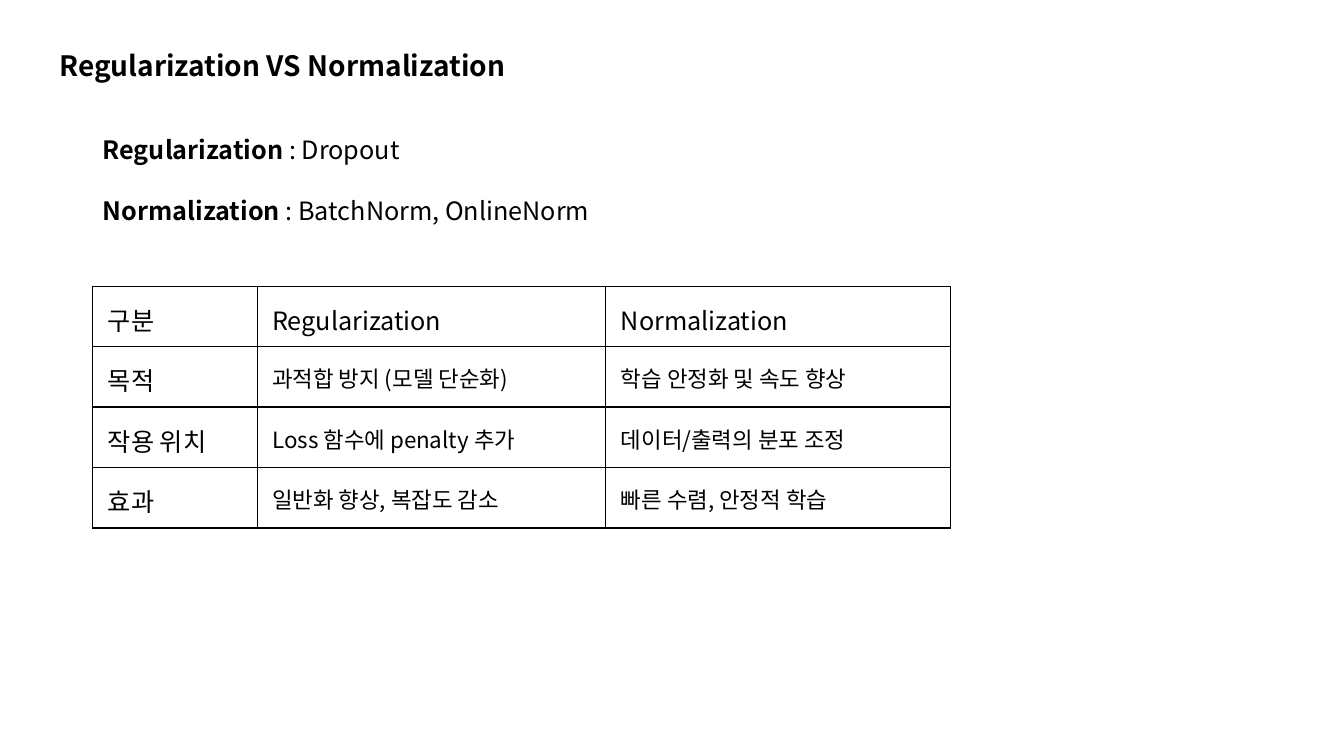
from dataclasses import dataclass

from lxml.etree import SubElement
from pptx import Presentation
from pptx.dml.color import RGBColor
from pptx.enum.text import MSO_ANCHOR, MSO_AUTO_SIZE, PP_ALIGN
from pptx.oxml.ns import qn
from pptx.util import Cm, Pt

TITLE = "Regularization VS Normalization"
EXAMPLES = [
    ("Regularization", " : Dropout", 12.04),
    ("Normalization", " : BatchNorm, OnlineNorm", 13.67),
]
COMPARISON = [
    ("구분", "Regularization", "Normalization"),
    ("목적", "과적합 방지 (모델 단순화)", "학습 안정화 및 속도 향상"),
    ("작용 위치", "Loss 함수에 penalty 추가", "데이터/출력의 분포 조정"),
    ("효과", "일반화 향상, 복잡도 감소", "빠른 수렴, 안정적 학습"),
]
COLUMN_WIDTHS = [4.14, 8.79, 8.68]
ROW_HEIGHT = 1.524
CONTENT_LEFT = 2.34
EXAMPLE_TOP, EXAMPLE_STEP = 3.25, 1.53
TABLE_TOP = 7.21


@dataclass(frozen=True)
class Theme:
    font: str = "Noto Sans CJK KR"
    ink: str = "000000"
    title: int = 20
    body: int = 18
    detail: int = 16
    border: int = 1


THEME = Theme()


def add_text(paragraph, text, size=THEME.body, bold=False):
    run = paragraph.add_run()
    run.text = text
    run.font.size = Pt(size)
    run.font.bold = bold
    run.font.color.rgb = RGBColor.from_string(THEME.ink)
    run.font.name = THEME.font
    SubElement(run.font._element, qn("a:ea"), typeface=THEME.font)


def settle_frame(frame):
    """Wrap the text and rest it on the bottom of its box."""
    frame.word_wrap = True
    frame.auto_size = MSO_AUTO_SIZE.NONE
    frame.vertical_anchor = MSO_ANCHOR.BOTTOM
    frame.paragraphs[0].alignment = PP_ALIGN.LEFT


def outline_cell(cell):
    properties = cell._tc.get_or_add_tcPr()
    for position, side in enumerate(("lnL", "lnR", "lnT", "lnB")):
        line = properties.makeelement(qn(f"a:{side}"), {"w": str(Pt(THEME.border))})
        fill = SubElement(line, qn("a:solidFill"))
        SubElement(fill, qn("a:srgbClr"), val=THEME.ink)
        properties.insert(position, line)


def add_title(slide):
    title = slide.shapes.title
    title.left, title.top, title.width, title.height = (
        Cm(1.24), Cm(1.07), Cm(16.94), Cm(1.12))
    settle_frame(title.text_frame)
    add_text(title.text_frame.paragraphs[0], TITLE, size=THEME.title, bold=True)


def add_examples(slide):
    for index, (term, methods, width) in enumerate(EXAMPLES):
        example = slide.shapes.add_textbox(
            Cm(CONTENT_LEFT), Cm(EXAMPLE_TOP + index * EXAMPLE_STEP),
            Cm(width), Cm(1.02))
        settle_frame(example.text_frame)
        paragraph = example.text_frame.paragraphs[0]
        add_text(paragraph, term, bold=True)
        add_text(paragraph, methods)


def add_comparison(slide):
    comparison = slide.shapes.add_table(
        len(COMPARISON), len(COLUMN_WIDTHS), Cm(CONTENT_LEFT), Cm(TABLE_TOP),
        Cm(sum(COLUMN_WIDTHS)), Cm(ROW_HEIGHT * len(COMPARISON))).table
    comparison.first_row = comparison.horz_banding = False
    for column, width in zip(comparison.columns, COLUMN_WIDTHS):
        column.width = Cm(width)
    for r, entries in enumerate(COMPARISON):
        comparison.rows[r].height = Cm(ROW_HEIGHT)
        for c, entry in enumerate(entries):
            cell = comparison.cell(r, c)
            cell.fill.background()
            cell.vertical_anchor = MSO_ANCHOR.TOP
            cell.margin_left = cell.margin_right = cell.margin_top = Cm(0.38)
            cell.margin_bottom = Cm(0.1)
            size = THEME.detail if r and c else THEME.body
            add_text(cell.text_frame.paragraphs[0], entry, size=size)
            outline_cell(cell)


def main():
    deck = Presentation()
    deck.slide_width, deck.slide_height = Cm(33.87), Cm(19.05)
    slide = deck.slides.add_slide(deck.slide_layouts[5])
    add_title(slide)
    add_examples(slide)
    add_comparison(slide)
    deck.save("out.pptx")


if __name__ == "__main__":
    main()
